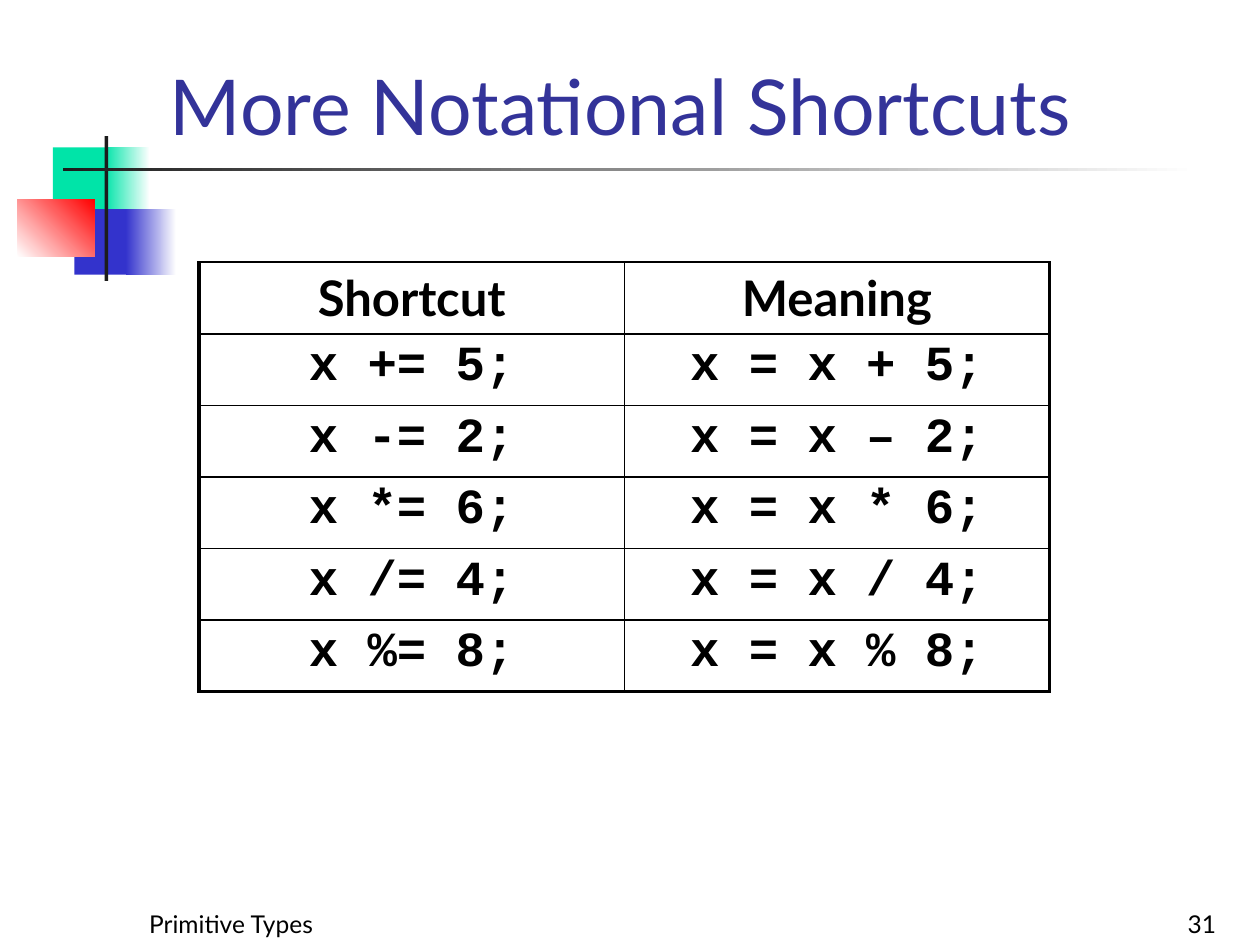
"""Build the slide on notational shortcuts with its operator table."""
import dataclasses
import typing

import lxml.etree
import pptx
import pptx.dml.color
import pptx.enum.shapes
import pptx.enum.text
import pptx.oxml.ns
import pptx.util

Inches = pptx.util.Inches
Pt = pptx.util.Pt
ALIGN = pptx.enum.text.PP_ALIGN
ANCHOR = pptx.enum.text.MSO_ANCHOR

COLOURS = {
    "white": "FFFFFF",
    "black": "000000",
    "green": "00E4A8",
    "blue": "3333CC",
    "red": "FF0000",
    "charcoal": "1C1C1C",
    "title": "333399",
}


@dataclasses.dataclass
class Block:
    left: float
    top: float
    width: float
    height: float
    start: str
    end: str = ""
    angle: float = 0


@dataclasses.dataclass
class Label:
    text: str
    left: float
    top: float
    width: float
    height: float
    size: float
    colour: str
    align: ALIGN


BLOCKS = [
    Block(0.42, 1.17, 0.48, 0.52, "green"),
    Block(0.83, 1.17, 0.36, 0.52, "green", "white"),
    Block(0.59, 1.66, 0.46, 0.52, "blue"),
    Block(1, 1.66, 0.4, 0.52, "blue", "white"),
    Block(0.14, 1.58, 0.61, 0.46, "white", "red", 45),
    Block(0.83, 1.08, 0.03, 1.15, "charcoal"),
    Block(0.5, 1.33, 9, 0.03, "charcoal", "white"),
]
LABELS = [
    Label("Primitive Types", 0.25, 7, 3.17, 0.5, 14, "black", ALIGN.CENTER),
    Label("31", 7.67, 7, 2.08, 0.5, 14, "black", ALIGN.RIGHT),
    Label("More Notational Shortcuts", 1.25, 0, 8.52, 1.25, 44, "title", ALIGN.LEFT),
]
SHORTCUTS = [
    ("Shortcut", "Meaning"),
    ("x += 5;", "x = x + 5;"),
    ("x -= 2;", "x = x – 2;"),
    ("x *= 6;", "x = x * 6;"),
    ("x /= 4;", "x = x / 4;"),
    ("x %= 8;", "x = x % 8;"),
]
HEADER_HEIGHT, ROW_HEIGHT = 0.57, 0.54
THIN, THICK = 1, 2.25


def rgb(colour: str) -> pptx.dml.color.RGBColor:
    """Return the named colour."""
    return pptx.dml.color.RGBColor.from_string(COLOURS[colour])


def apply_format(target: typing.Any, values: dict) -> None:
    """Set each attribute of the target from the format values."""
    for attribute, value in values.items():
        setattr(target, attribute, value)


def write(frame: typing.Any, text: str, align: ALIGN, colour: str, font: dict) -> None:
    """Write one formatted paragraph into a text frame."""
    paragraph = frame.paragraphs[0]
    paragraph.alignment = align
    run = paragraph.add_run()
    run.text = text
    apply_format(run.font, font)
    run.font.color.rgb = rgb(colour)


def draw_block(slide: typing.Any, block: Block) -> None:
    """Draw a borderless rectangle with a plain or gradient fill."""
    shape = slide.shapes.add_shape(
        pptx.enum.shapes.MSO_SHAPE.RECTANGLE,
        Inches(block.left), Inches(block.top), Inches(block.width), Inches(block.height),
    )
    shape.shadow.inherit = False
    shape.line.fill.background()
    if not block.end:
        shape.fill.solid()
        shape.fill.fore_color.rgb = rgb(block.start)
        return
    shape.fill.gradient()
    shape.fill.gradient_angle = block.angle
    for stop, position, colour in zip(shape.fill.gradient_stops, (0, 1), (block.start, block.end)):
        stop.position = position
        stop.color.rgb = rgb(colour)


def draw_label(slide: typing.Any, label: Label) -> None:
    """Draw a bottom-anchored line of text."""
    box = slide.shapes.add_textbox(
        Inches(label.left), Inches(label.top), Inches(label.width), Inches(label.height)
    )
    apply_format(box.text_frame, {"word_wrap": True, "vertical_anchor": ANCHOR.BOTTOM})
    font = {"name": "Lato", "size": Pt(label.size)}
    write(box.text_frame, label.text, label.align, label.colour, font)


def set_borders(cell: typing.Any, widths: dict[str, float]) -> None:
    """Give the cell a black border of the stated point width on each side."""
    qn = pptx.oxml.ns.qn
    properties = cell._tc.get_or_add_tcPr()
    for side, width in widths.items():
        border = lxml.etree.SubElement(properties, qn(f"a:ln{side}"), w=str(Pt(width)))
        fill = lxml.etree.SubElement(border, qn("a:solidFill"))
        lxml.etree.SubElement(fill, qn("a:srgbClr"), val=COLOURS["black"])


def draw_shortcuts(slide: typing.Any) -> None:
    """Draw the table of shortcuts and their meanings."""
    last_row, last_column = len(SHORTCUTS) - 1, len(SHORTCUTS[0]) - 1
    table = slide.shapes.add_table(
        len(SHORTCUTS), len(SHORTCUTS[0]), Inches(1.58), Inches(2.08),
        Inches(6.75), Inches(HEADER_HEIGHT + last_row * ROW_HEIGHT),
    ).table
    apply_format(table, {"first_row": False, "horz_banding": False})
    for row, entries in enumerate(SHORTCUTS):
        table.rows[row].height = Inches(ROW_HEIGHT if row else HEADER_HEIGHT)
        font = {"name": "Courier New" if row else "Lato", "size": Pt(28), "bold": True}
        for column, entry in enumerate(entries):
            cell = table.cell(row, column)
            write(cell.text_frame, entry, ALIGN.CENTER, "black", font)
            set_borders(cell, {
                "L": THICK if column == 0 else THIN,
                "R": THICK if column == last_column else THIN,
                "T": THIN,
                "B": THICK if row == last_row else THIN,
            })
            cell.fill.background()


def main() -> None:
    """Build and save the slide."""
    presentation = pptx.Presentation()
    apply_format(presentation, {"slide_width": Inches(10), "slide_height": Inches(7.5)})
    slide = presentation.slides.add_slide(presentation.slide_layouts[6])
    for block in BLOCKS:
        draw_block(slide, block)
    for label in LABELS:
        draw_label(slide, label)
    draw_shortcuts(slide)
    presentation.save("out.pptx")


if __name__ == "__main__":
    main()
